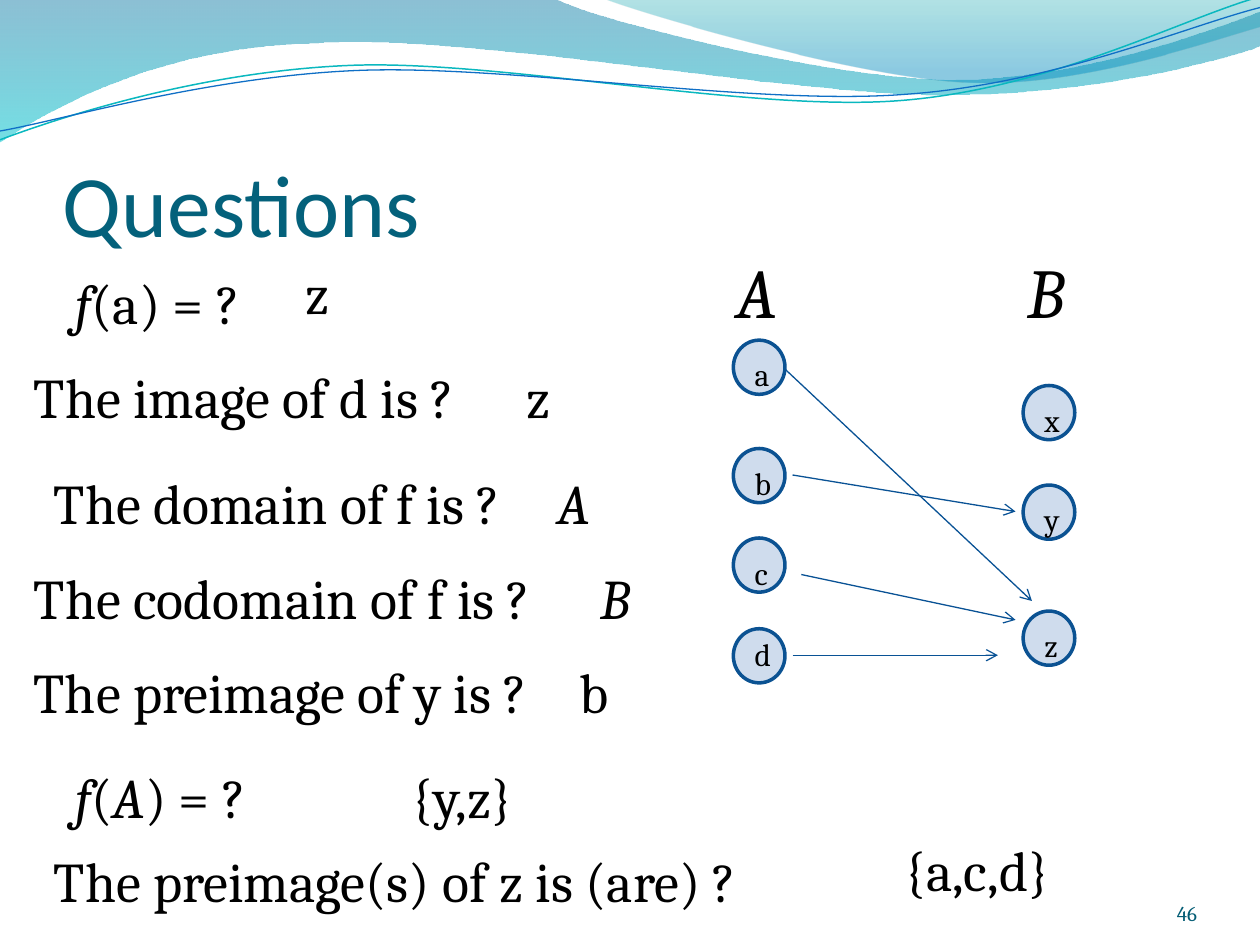
"""Build the "Questions" slide: function questions beside an arrow diagram from A to B."""
from pptx import Presentation
from pptx.dml.color import RGBColor
from pptx.enum.shapes import MSO_CONNECTOR, MSO_SHAPE
from pptx.enum.text import MSO_ANCHOR, PP_ALIGN
from pptx.oxml.ns import qn
from pptx.util import Inches, Pt
from lxml.etree import SubElement

BLACK = RGBColor(0x00, 0x00, 0x00)
TITLE_TEAL = RGBColor(0x04, 0x61, 0x7B)
NUMBER_TEAL = RGBColor(0x04, 0x5D, 0x75)
NODE_FILL = RGBColor(0x4F, 0x81, 0xBD)
NODE_LINE = RGBColor(0x0B, 0x52, 0x92)
ARROW_BLUE = RGBColor(0x09, 0x52, 0x95)
DEEP_BLUE = RGBColor(0x00, 0x74, 0xA1)
CYAN = RGBColor(0x00, 0xC6, 0xCF)
TEAL = RGBColor(0x00, 0xA1, 0xA9)
SKY = RGBColor(0x00, 0x8B, 0xBF)
CURVE_TEAL = RGBColor(0x0A, 0xB8, 0xBF)
CURVE_BLUE = RGBColor(0x0F, 0x6F, 0xC6)

BANDS = [
    ([(0, 0), (4.4, -0.01), (4.76, 0.17, 6.64, 0.63, 7.58, 0.63),
      (8.53, 0.63, 9.58, 0.26, 10, 0.09), (10.01, 0.36),
      (9.83, 0.44, 8.7, 0.76, 7.46, 0.75), (6.22, 0.75, 3.82, 0.28, 2.57, 0.34),
      (1.29, 0.36, 0.46, 0.83, -0.01, 1.13)],
     [(0, DEEP_BLUE, 45), (1, CYAN, 55)]),
    ([(4.79, -0.01), (5.09, 0.11, 6.82, 0.62, 7.69, 0.65),
      (8.56, 0.69, 9.61, 0.32, 10, 0.21), (10, 0)],
     [(0, TEAL, 30), (0.8, SKY, 45)]),
]
CURVES = [
    ([(0, 1.11), (0.48, 0.93, 1.58, 0.57, 2.77, 0.52), (3.95, 0.47, 5.93, 0.89, 7.13, 0.8),
      (8.33, 0.71, 9.38, 0.15, 9.98, -0.02)], CURVE_TEAL, 0.85),
    ([(0, 1.04), (0.47, 0.96, 1.64, 0.61, 2.83, 0.56), (4.03, 0.51, 5.97, 0.84, 7.17, 0.75),
      (8.36, 0.67, 9.41, 0.21, 10, 0.06)], CURVE_BLUE, 0.75),
]

FIRST_QUESTION = (0.5, 2.08, 4.25, ["_f", "(a) = ?"])
OTHER_QUESTIONS = [
    (2.33, 2, 3.17, ["z"]),
    (0.17, 2.83, 4.25, ["The image of d is ?"]), (4.08, 2.83, 0.75, ["z"]),
    (0.33, 3.67, 4.25, ["The domain of f is ?"]), (4.33, 3.67, 0.67, ["_A"]),
    (0.17, 4.42, 4.42, ["The codomain of f is ?"]), (4.67, 4.42, 0.42, ["_B"]),
    (0.17, 5.17, 4.5, ["The preimage of y is ?"]), (4.5, 5.17, 0.5, ["b"]),
    (0.5, 6, 1.75, ["_f", "(", "_A", ") = ?"]), (7.08, 6.58, 2.92, ["{a,c,d}"]),
    (0.33, 6.67, 6.58, ["The preimage(s) of z is (are) ?"]), (3.17, 6, 1.5, ["{y,z}"]),
]
SET_NAMES = [("_A", 5.75), ("_B", 8.06)]
MEMBERS = [
    ("a", 5.82, 2.7, 2.77), ("b", 5.82, 3.56, 3.63), ("c", 5.82, 4.27, 4.35),
    ("d", 5.82, 4.99, 4.99),
    ("x", 8.12, 3.06, 3.13), ("y", 8.12, 3.85, 3.92), ("z", 8.12, 4.85, 4.92),
]
ARROWS = [
    ((6.29, 3.77), (8.06, 4.06)), ((6.22, 2.92), (8.19, 4.77)),
    ((6.36, 4.56), (8.06, 4.92)), ((6.29, 5.2), (7.92, 5.2)),
]


def add_outline(slide, steps, close):
    """Draw straight steps (x, y) and cubic steps (two controls and an end)."""
    points = [(Inches(x), Inches(y)) for step in steps
              for x, y in zip(step[::2], step[1::2])]
    builder = slide.shapes.build_freeform(*points[0])
    builder.add_line_segments(points[1:], close=close)
    shape = builder.convert_to_shape()
    shape.shadow.inherit = False
    segments = iter(list(shape._element.spPr.iter(qn("a:lnTo"))))
    for step in steps[1:]:
        segment = next(segments)
        if len(step) == 6:
            segment.tag = qn("a:cubicBezTo")
            for _ in range(2):
                extra = next(segments)
                segment.append(extra[0])
                extra.getparent().remove(extra)
    return shape


def set_opacity(color_element, percent):
    SubElement(color_element, qn("a:alpha")).set("val", str(percent * 1000))


def add_band(slide, steps, stops):
    shape = add_outline(slide, steps, True)
    shape.line.fill.background()
    shape.fill.gradient()
    shape.fill.gradient_angle = 270
    for stop, (position, color, _) in zip(shape.fill.gradient_stops, stops):
        stop.position, stop.color.rgb = position, color
    colors = list(shape._element.spPr.iter(qn("a:srgbClr")))
    for element, (_, _, opacity) in zip(colors, stops):
        set_opacity(element, opacity)


def add_curve(slide, steps, color, width):
    shape = add_outline(slide, steps, False)
    shape.fill.background()
    shape.line.color.rgb, shape.line.width = color, Pt(width)


def add_text(slide, box, runs, size, color=BLACK, font="Cambria", align=PP_ALIGN.LEFT,
             anchor=MSO_ANCHOR.TOP, insets=(0.1, 0.05, 0.1, 0.05)):
    frame = slide.shapes.add_textbox(*map(Inches, box)).text_frame
    frame.word_wrap, frame.vertical_anchor = True, anchor
    (frame.margin_left, frame.margin_top,
     frame.margin_right, frame.margin_bottom) = map(Inches, insets)
    paragraph = frame.paragraphs[0]
    paragraph.alignment = align
    paragraph.font.size, paragraph.font.name = Pt(size), font
    paragraph.font.color.rgb = color
    for text in runs:
        run = paragraph.add_run()
        run.text = text.lstrip("_")
        if text.startswith("_"):
            run.font.italic = True


def add_question(slide, left, top, width, runs):
    add_text(slide, (left, top, width, 0.64), runs, 32)


def add_node(slide, left, top):
    node = slide.shapes.add_shape(MSO_SHAPE.FLOWCHART_CONNECTOR,
                                  *map(Inches, (left, top, 0.41, 0.43)))
    node.shadow.inherit = False
    node.fill.solid()
    node.fill.fore_color.rgb = NODE_FILL
    set_opacity(next(node._element.spPr.iter(qn("a:srgbClr"))), 27)
    node.line.color.rgb, node.line.width = NODE_LINE, Pt(2)


def add_arrow(slide, start, end):
    arrow = slide.shapes.add_connector(MSO_CONNECTOR.STRAIGHT, *map(Inches, start + end))
    arrow.line.color.rgb, arrow.line.width = ARROW_BLUE, Pt(0.75)
    SubElement(arrow.line._get_or_add_ln(), qn("a:tailEnd")).set("type", "arrow")
    SubElement(arrow._element.spPr, qn("a:effectLst"))


def add_diagram(slide):
    for _, left, top, _ in MEMBERS:
        add_node(slide, left, top)
    for name, left in SET_NAMES:
        add_text(slide, (left, 1.92, 0.61, 0.77), [name], 40)
    for label, left, _, top in MEMBERS:
        add_text(slide, (left + 0.07, top, 0.27, 0.35), [label], 18)
    for start, end in ARROWS:
        add_arrow(slide, start, end)


def main():
    presentation = Presentation()
    presentation.slide_width, presentation.slide_height = Inches(10), Inches(7.5)
    slide = presentation.slides.add_slide(presentation.slide_layouts[6])
    for steps, stops in BANDS:
        add_band(slide, steps, stops)
    for steps, color, width in CURVES:
        add_curve(slide, steps, color, width)
    add_text(slide, (0.5, 0.77, 9, 1.25), ["Questions"], 50, TITLE_TEAL, "Calibri",
             anchor=MSO_ANCHOR.BOTTOM, insets=(0, 0.05, 0, 0))
    add_question(slide, *FIRST_QUESTION)
    add_diagram(slide)
    for question in OTHER_QUESTIONS:
        add_question(slide, *question)
    add_text(slide, (8.67, 6.95, 0.83, 0.4), ["46"], 12, NUMBER_TEAL,
             align=PP_ALIGN.RIGHT, anchor=MSO_ANCHOR.BOTTOM, insets=(0, 0, 0, 0))
    presentation.save("out.pptx")


if __name__ == "__main__":
    main()
